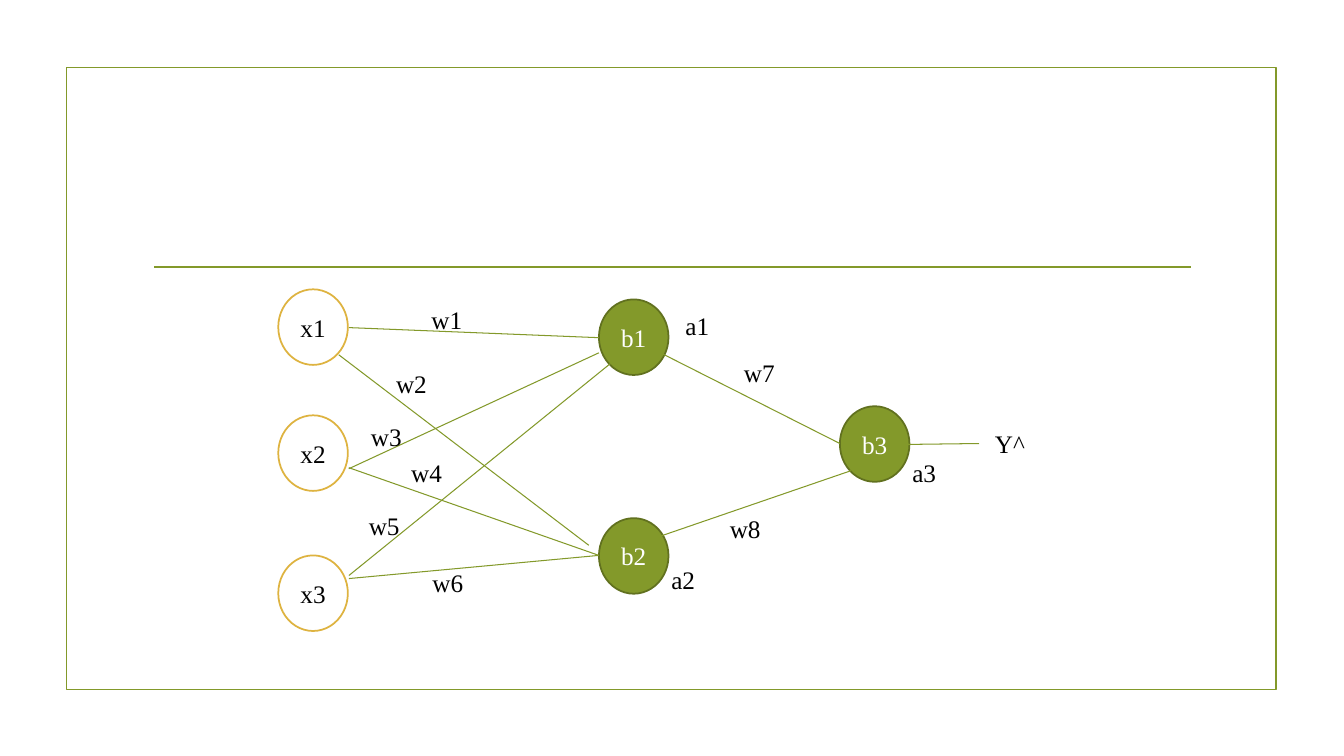
from pptx import Presentation
from pptx.dml.color import RGBColor
from pptx.enum.shapes import MSO_CONNECTOR, MSO_SHAPE
from pptx.enum.text import MSO_ANCHOR, PP_ALIGN
from pptx.oxml.ns import qn
from pptx.util import Pt
from lxml import etree

PX = 9144  # EMU per px, 100 px to the inch
FONT = "Times New Roman"
COLORS = {
    "green": "83992A",
    "dark green": "61711F",
    "gold": "DEB340",
    "white": "FFFFFF",
    "black": "000000",
}

presentation = Presentation()
presentation.slide_width = 1333 * PX
presentation.slide_height = 750 * PX
slide = presentation.slides.add_slide(presentation.slide_layouts[6])


def color(name):
    return RGBColor.from_string(COLORS[name])


def add_line(x1, y1, x2, y2, width):
    line = slide.shapes.add_connector(
        MSO_CONNECTOR.STRAIGHT, x1 * PX, y1 * PX, x2 * PX, y2 * PX)
    line.line.color.rgb = color("green")
    line.line.width = Pt(width)
    etree.SubElement(line._element.spPr, qn("a:effectLst"))


# Frame and title rule
frame = slide.shapes.add_shape(
    MSO_SHAPE.RECTANGLE, 66 * PX, 67 * PX, 1200 * PX, 617 * PX)
frame.shadow.inherit = False
frame.fill.background()
frame.line.color.rgb = color("green")
frame.line.width = Pt(1.25)
add_line(153, 265, 1181, 265, 1.25)

# Neurons: text, left, top, and the colours of fill, outline and text
INPUT = ("white", "gold", "black")
NEURON = ("green", "dark green", "white")
nodes = [
    ("b1", 594, 297, NEURON),
    ("b2", 594, 514, NEURON),
    ("b3", 833, 403, NEURON),
    ("x3", 276, 551, INPUT),
    ("x2", 276, 412, INPUT),
    ("x1", 276, 287, INPUT),
]
for text, left, top, (fill, outline, ink) in nodes:
    node = slide.shapes.add_shape(
        MSO_SHAPE.OVAL, left * PX, top * PX, 69 * PX, 75 * PX)
    node.shadow.inherit = False
    node.fill.solid()
    node.fill.fore_color.rgb = color(fill)
    node.line.color.rgb = color(outline)
    node.line.width = Pt(1.25)
    node.text_frame.vertical_anchor = MSO_ANCHOR.MIDDLE
    paragraph = node.text_frame.paragraphs[0]
    paragraph.text = text
    paragraph.alignment = PP_ALIGN.CENTER
    paragraph.font.name = FONT
    paragraph.font.size = Pt(18)
    paragraph.font.color.rgb = color(ink)

# Weighted links between the layers, then the output
links = [
    (346, 325, 594, 335),
    (336, 352, 584, 541),
    (346, 465, 594, 350),
    (346, 571, 605, 361),
    (346, 464, 594, 551),
    (346, 574, 594, 551),
    (649, 347, 833, 440),
    (649, 534, 844, 467),
    (893, 441, 971, 440),
]
for link in links:
    add_line(*link, 0.75)

# Labels of weights, activations and output
labels = [
    ("w1", 418, 297),
    ("w2", 383, 361),
    ("w3", 358, 413),
    ("w4", 398, 449),
    ("w5", 356, 501),
    ("w6", 419, 558),
    ("w8", 714, 504),
    ("w7", 728, 350),
    ("Y^", 977, 420),
    ("a1", 670, 303),
    ("a2", 656, 555),
    ("a3", 895, 449),
]
for text, left, top in labels:
    label = slide.shapes.add_textbox(left * PX, top * PX, 56 * PX, 40 * PX)
    label.text_frame.word_wrap = True
    paragraph = label.text_frame.paragraphs[0]
    paragraph.text = text
    paragraph.font.name = FONT
    paragraph.font.size = Pt(18)
    paragraph.font.color.rgb = color("black")

presentation.save("out.pptx")
